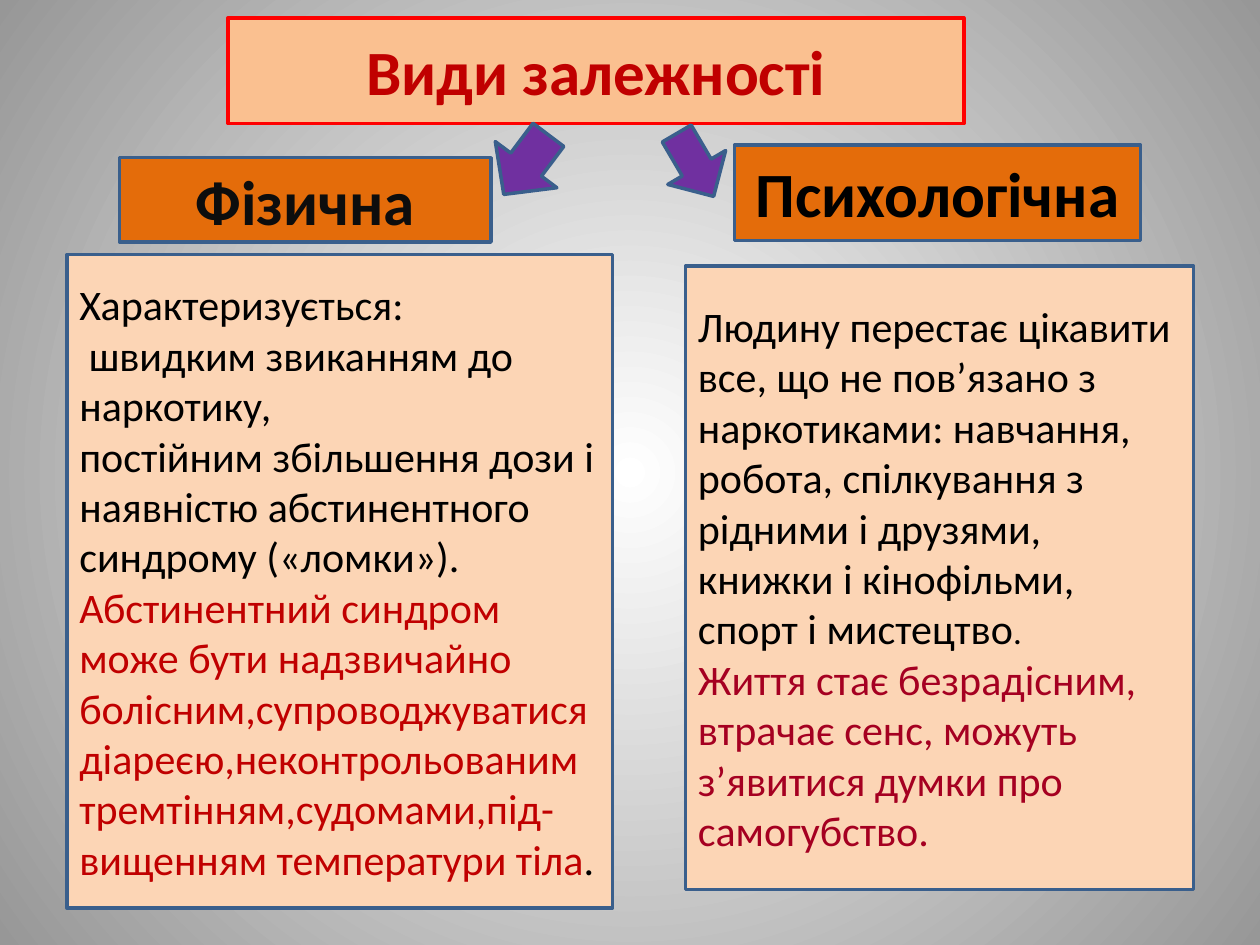
from dataclasses import dataclass

from lxml import etree
from pptx import Presentation
from pptx.dml.color import RGBColor
from pptx.enum.shapes import MSO_SHAPE
from pptx.enum.text import MSO_ANCHOR, MSO_AUTO_SIZE, PP_ALIGN
from pptx.oxml.ns import qn
from pptx.util import Cm, Pt

RECTANGLE, DOWN_ARROW = MSO_SHAPE.RECTANGLE, MSO_SHAPE.DOWN_ARROW
LEFT, CENTER = PP_ALIGN.LEFT, PP_ALIGN.CENTER
MIDDLE = MSO_ANCHOR.MIDDLE
NO_AUTOFIT = MSO_AUTO_SIZE.NONE


@dataclass(frozen=True)
class Theme:
    font: str = "Calibri"
    heading_size: int = 36
    body_size: int = 24
    small_size: int = 20
    line_width: int = 2
    glow: str = "FFFFFF"
    edge: str = "979797"
    title_fill: str = "FAC090"
    title_line: str = "FF0000"
    kind_fill: str = "E46C0A"
    body_fill: str = "FCD5B5"
    arrow_fill: str = "7030A0"
    outline: str = "3A5F8C"
    black: str = "000000"
    soft_black: str = "0D0D0D"
    red: str = "C00000"
    crimson: str = "A50021"


theme = Theme()


def paint(shape, fill, line=theme.outline):
    """Give a shape a solid fill and an outline, without a shadow."""
    shape.shadow.inherit = False
    shape.fill.solid()
    shape.fill.fore_color.rgb = RGBColor.from_string(fill)
    shape.line.color.rgb = RGBColor.from_string(line)
    shape.line.width = Pt(theme.line_width)


def write(shape, paragraphs, size=theme.body_size, bold=False, align=LEFT):
    """Write paragraphs, each a list of (text, colour[, size]) runs."""
    frame = shape.text_frame
    frame.word_wrap = True
    frame.auto_size = NO_AUTOFIT
    frame.vertical_anchor = MIDDLE
    for index, runs in enumerate(paragraphs):
        paragraph = frame.add_paragraph() if index else frame.paragraphs[0]
        paragraph.alignment = align
        for text, color, *own_size in runs:
            run = paragraph.add_run()
            run.text = text
            run.font.name = theme.font
            run.font.size = Pt(own_size[0] if own_size else size)
            run.font.bold = bold
            run.font.color.rgb = RGBColor.from_string(color)


deck = Presentation()
deck.slide_width, deck.slide_height = Cm(25.4), Cm(19.05)
slide = deck.slides.add_slide(deck.slide_layouts[5])

# Radial background
backdrop = slide.background.fill
backdrop.gradient()
for stop, color in zip(backdrop.gradient_stops, (theme.glow, theme.edge)):
    stop.color.rgb = RGBColor.from_string(color)
gradient = slide.element.find(".//" + qn("a:gradFill"))
gradient.remove(gradient.find(qn("a:lin")))
circle = etree.SubElement(gradient, qn("a:path"), {"path": "circle"})
etree.SubElement(circle, qn("a:fillToRect"), dict.fromkeys("ltrb", "50000"))

# Title
title = slide.shapes.title
title.left, title.top, title.width, title.height = Cm(4.6), Cm(0.36), Cm(14.83), Cm(2.13)
paint(title, theme.title_fill, theme.title_line)
write(title, [[("Види залежності", theme.red)]],
      size=theme.heading_size, bold=True, align=CENTER)

# Kinds of dependence: heading, arrow and description of each
physical = [
    [("Характеризується:", theme.black)],
    [(" швидким звиканням до наркотику, ", theme.black)],
    [("постійним збільшення дози і наявністю абстинентного синдрому («ломки»).",
      theme.black)],
    [("Абстинентний синдром може бути надзвичайно болісним,супроводжуватися "
      "діареєю,неконтрольованим тремтінням,судомами,під-вищенням температури тіла",
      theme.red), (".", theme.black)],
]
psychological = [
    [("Людину перестає цікавити все, що не пов’язано з наркотиками: навчання, "
      "робота, спілкування з рідними і друзями, книжки і кінофільми, "
      "спорт і мистецтво", theme.black), (". ", theme.black, theme.small_size)],
    [("Життя стає безрадісним, втрачає сенс, можуть з’явитися думки про самогубство.",
      theme.crimson)],
]
kinds = [
    ("Фізична", theme.soft_black, (2.41, 3.18, 7.49, 1.7),
     (9.83, 2.57, 1.55, 1.5), 36.9, physical, (1.35, 5.13, 11, 13.18)),
    ("Психологічна", theme.black, (14.81, 2.92, 8.18, 1.93),
     (13.34, 2.59, 1.35, 1.47), 329.6, psychological, (13.82, 5.36, 10.24, 12.57)),
]
for name, color, heading_box, arrow_box, angle, description, body_box in kinds:
    heading = slide.shapes.add_shape(RECTANGLE, *map(Cm, heading_box))
    paint(heading, theme.kind_fill)
    write(heading, [[(name, color)]], size=theme.heading_size, bold=True, align=CENTER)

    arrow = slide.shapes.add_shape(DOWN_ARROW, *map(Cm, arrow_box))
    arrow.rotation = angle
    paint(arrow, theme.arrow_fill)

    body = slide.shapes.add_shape(RECTANGLE, *map(Cm, body_box))
    paint(body, theme.body_fill)
    write(body, description)

deck.save("out.pptx")
